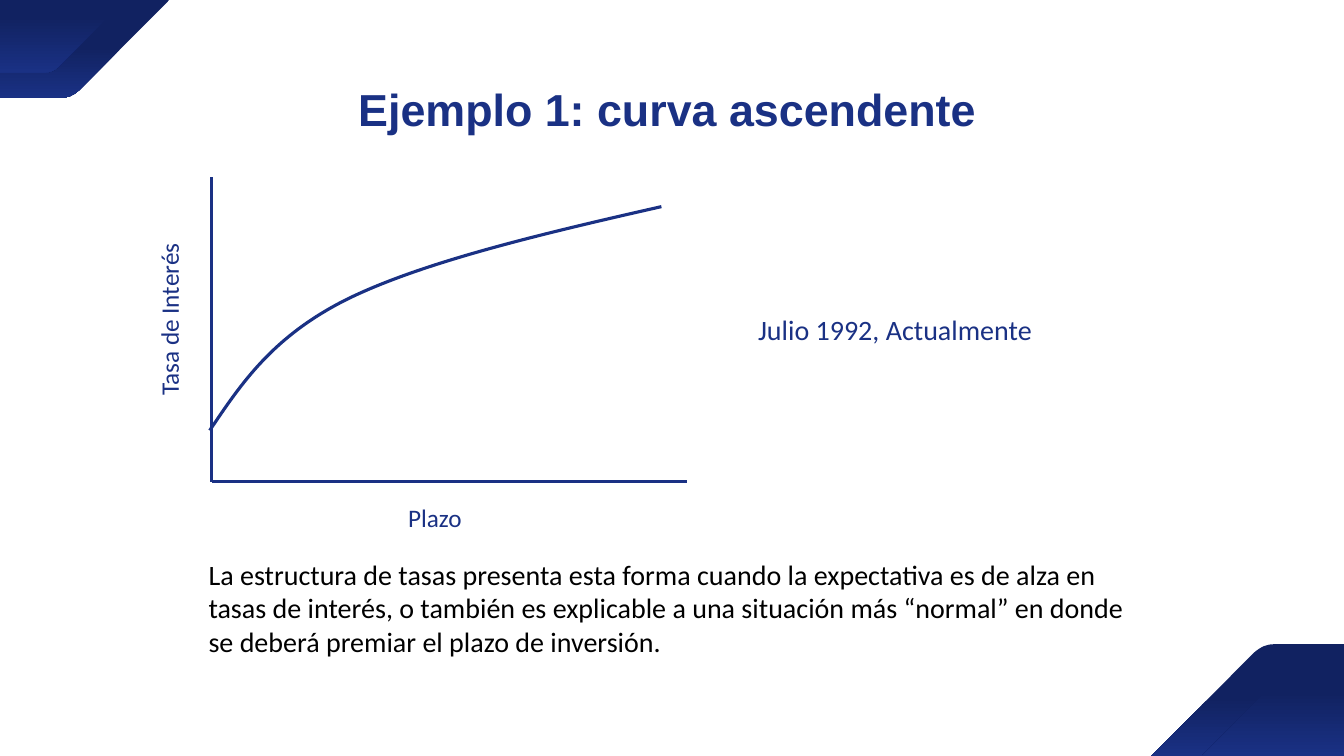
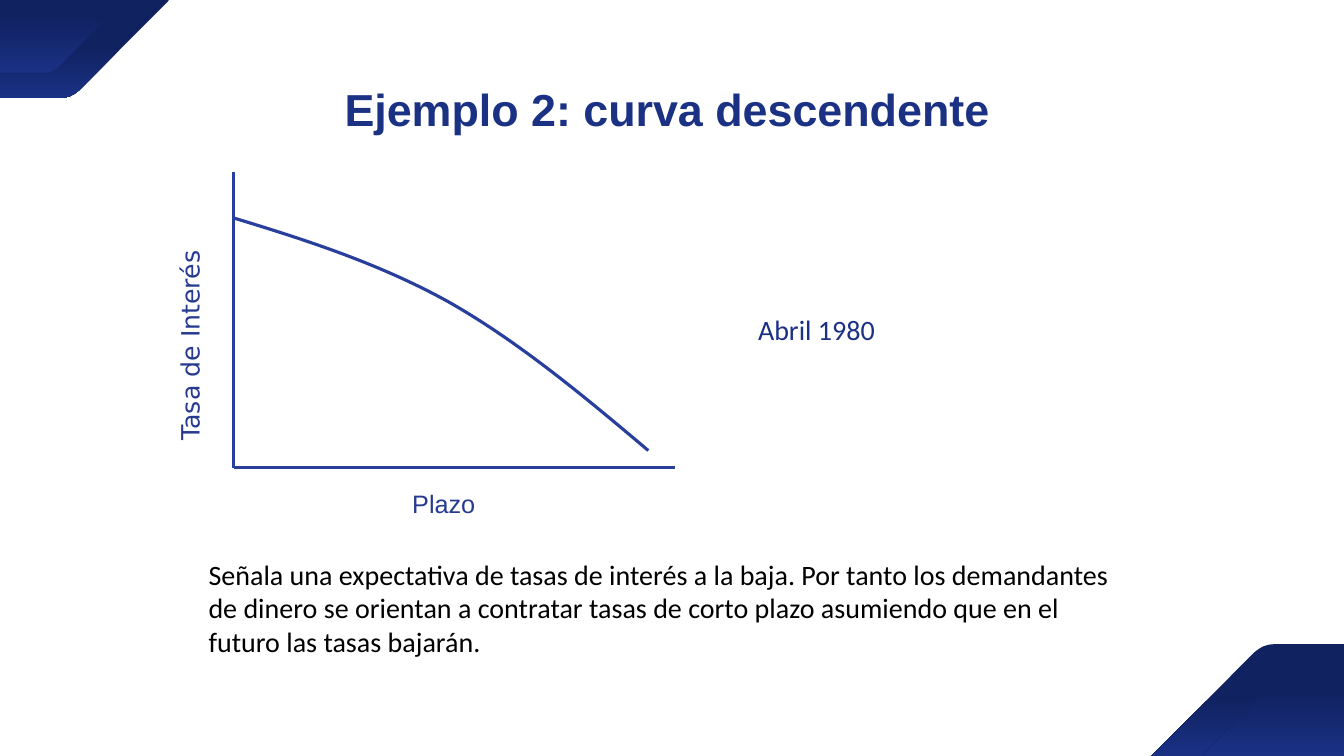
from pptx import Presentation
from pptx.dml.color import RGBColor
from pptx.enum import shapes, text
from pptx.oxml import ns, xmlchemy
from pptx.util import Inches, Pt

NAVY = RGBColor(0x11, 0x22, 0x61)
BLUE = RGBColor(0x1A, 0x31, 0x84)
LINE_BLUE = RGBColor(0x29, 0x3F, 0x9D)
LABEL_BLUE = RGBColor(0x26, 0x3A, 0x90)
BLACK = RGBColor(0, 0, 0)

WIDTH, HEIGHT = 13.33, 7.5
TITLE_BOX = (0.79, 0.54, 11.66, 0.81)
DATE_BOX = (7.42, 3.05, 3.18, 0.44)
NOTE_BOX = (1.97, 5.48, 9.3, 1.11)
CORNER = [(0, 1), (0.36, 1), (0.4, 1), (0.43, 0.98), (0.47, 0.92),
          (1, 0), (0, 0)]

EXAMPLES = [
    dict(
        title="Ejemplo 1: curva ascendente",
        date="Julio 1992, Actualmente",
        note="La estructura de tasas presenta esta forma cuando la expectativa "
             "es de alza en tasas de interés, o también es explicable a una "
             "situación más “normal” en donde se deberá premiar el plazo de "
             "inversión.",
        chart=dict(
            box=(2.1, 1.76, 4.71, 3.02), line=BLUE, label=BLUE,
            curve=[(4.46, 0.29), (3.27, 0.56), (2.09, 0.84), (1.34, 1.21),
                   (0.6, 1.58), (0.29, 2.05), (-0.02, 2.51)],
            rate_box=(-1.29, 1.2, 1.73, 0.4), rate_font="Calibri",
            term_box=(1.85, 3.17, 0.74, 0.4), term_font="Calibri"),
    ),
    dict(
        title="Ejemplo 2: curva descendente",
        date="Abril 1980",
        note="Señala una expectativa de tasas de interés a la baja. Por tanto "
             "los demandantes de dinero se orientan a contratar tasas de corto "
             "plazo asumiendo que en el futuro las tasas bajarán.",
        chart=dict(
            box=(2.32, 1.71, 4.38, 2.93), line=LINE_BLUE, label=LABEL_BLUE,
            curve=[(-0.01, 0.45), (0.71, 0.67), (1.43, 0.9), (2.12, 1.28),
                   (2.81, 1.67), (3.46, 2.21), (4.11, 2.76)],
            rate_box=(-1.43, 1.46, 2.09, 0.51), rate_font="DejaVu Sans",
            term_box=(1.67, 3.08, 1.05, 0.49), term_font="Arial"),
    ),
]


def place(sp, box):
    sp.left, sp.top, sp.width, sp.height = map(Inches, box)


def write(sp, words, size=20, font="Calibri", color=BLUE, bold=False,
          align=text.PP_ALIGN.LEFT, anchor=text.MSO_ANCHOR.TOP,
          spacing=1.0, wrap=True):
    tf = sp.text_frame
    tf.word_wrap = wrap
    tf.auto_size = text.MSO_AUTO_SIZE.SHAPE_TO_FIT_TEXT
    tf.vertical_anchor = anchor
    p = tf.paragraphs[0]
    p.alignment, p.line_spacing = align, spacing
    r = p.add_run()
    r.text = words
    r.font.size, r.font.name, r.font.bold = Pt(size), font, bold
    r.font.color.rgb = color


def add_text(s, box, words, rotation=0, **style):
    sp = s.shapes.add_textbox(*map(Inches, box))
    sp.rotation = rotation
    write(sp, words, **style)


def add_outline(s, points, curve_starts, close):
    points = [(Inches(x), Inches(y)) for x, y in points]
    builder = s.shapes.build_freeform(*points[0])
    builder.add_line_segments(points[1:], close=close)
    sp = builder.convert_to_shape()
    sp.shadow.inherit = False
    segments = list(sp.element.iter(ns.qn("a:lnTo")))
    for start in curve_starts:
        cubic = xmlchemy.OxmlElement("a:cubicBezTo")
        segments[start].addprevious(cubic)
        for segment in segments[start:start + 3]:
            cubic.append(segment[0])
            segment.getparent().remove(segment)
    return sp


def add_corner(s, x, y, width, height, dark_until):
    points = [(x + u * width, y + v * height) for u, v in CORNER]
    sp = add_outline(s, points, [1], True)
    sp.line.fill.background()
    sp.fill.gradient()
    sp.fill.gradient_angle = 270
    stops = zip(sp.fill.gradient_stops, (dark_until, 1), (NAVY, BLUE))
    for stop, position, color in stops:
        stop.position = position
        stop.color.rgb = color


def add_frame(s):
    add_corner(s, WIDTH, HEIGHT, -1.91, -1.11, 0.48)
    add_corner(s, WIDTH, HEIGHT, -1.41, -0.82, 0.23)
    add_corner(s, 0, 0, 1.68, 0.97, 0.48)
    add_corner(s, 0, 0, 1.24, 0.72, 0.23)


def style_line(sp, color):
    sp.line.color.rgb = color
    sp.line.width = Pt(2.25)


def add_axis(s, start, end, color):
    axis = s.shapes.add_connector(
        shapes.MSO_CONNECTOR.STRAIGHT, *map(Inches, start + end))
    style_line(axis, color)
    axis.element.spPr.append(xmlchemy.OxmlElement("a:effectLst"))


def add_curve_chart(s, box, line, label, curve, rate_box, rate_font,
                    term_box, term_font):
    x, y, w, h = box
    add_axis(s, (x, y), (x, y + h), line)
    add_axis(s, (x, y + h), (x + w, y + h), line)
    sp = add_outline(s, [(x + u, y + v) for u, v in curve], [0, 3], False)
    sp.fill.background()
    style_line(sp, line)
    for words, part, font, rotation in (
            ("Tasa de Interés", rate_box, rate_font, 270),
            ("Plazo", term_box, term_font, 0)):
        dx, dy, width, height = part
        add_text(s, (x + dx, y + dy, width, height), words, rotation,
                 size=18, font=font, color=label, wrap=False)


def add_example(prs, title, date, note, chart):
    s = prs.slides.add_slide(prs.slide_layouts.get_by_name("Title Only"))
    add_frame(s)
    place(s.shapes.title, TITLE_BOX)
    write(s.shapes.title, title, size=32, font="Arial", bold=True,
          align=text.PP_ALIGN.CENTER, anchor=text.MSO_ANCHOR.MIDDLE,
          spacing=1.5)
    add_text(s, DATE_BOX, date)
    add_text(s, NOTE_BOX, note, color=BLACK)
    add_curve_chart(s, **chart)


def main():
    prs = Presentation()
    prs.slide_width, prs.slide_height = Inches(WIDTH), Inches(HEIGHT)
    for example in EXAMPLES:
        add_example(prs, **example)
    prs.save("out.pptx")


if __name__ == "__main__":
    main()
